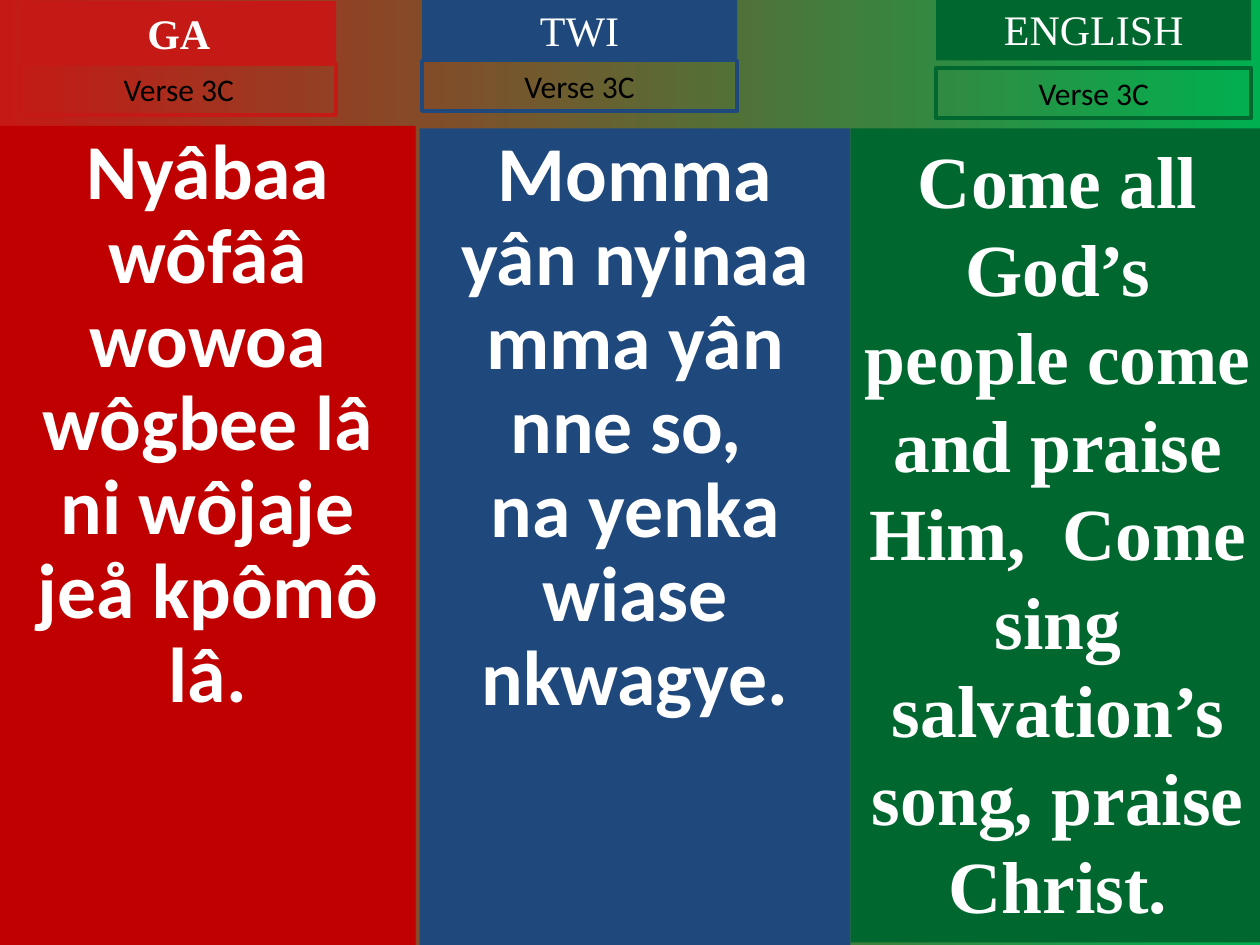
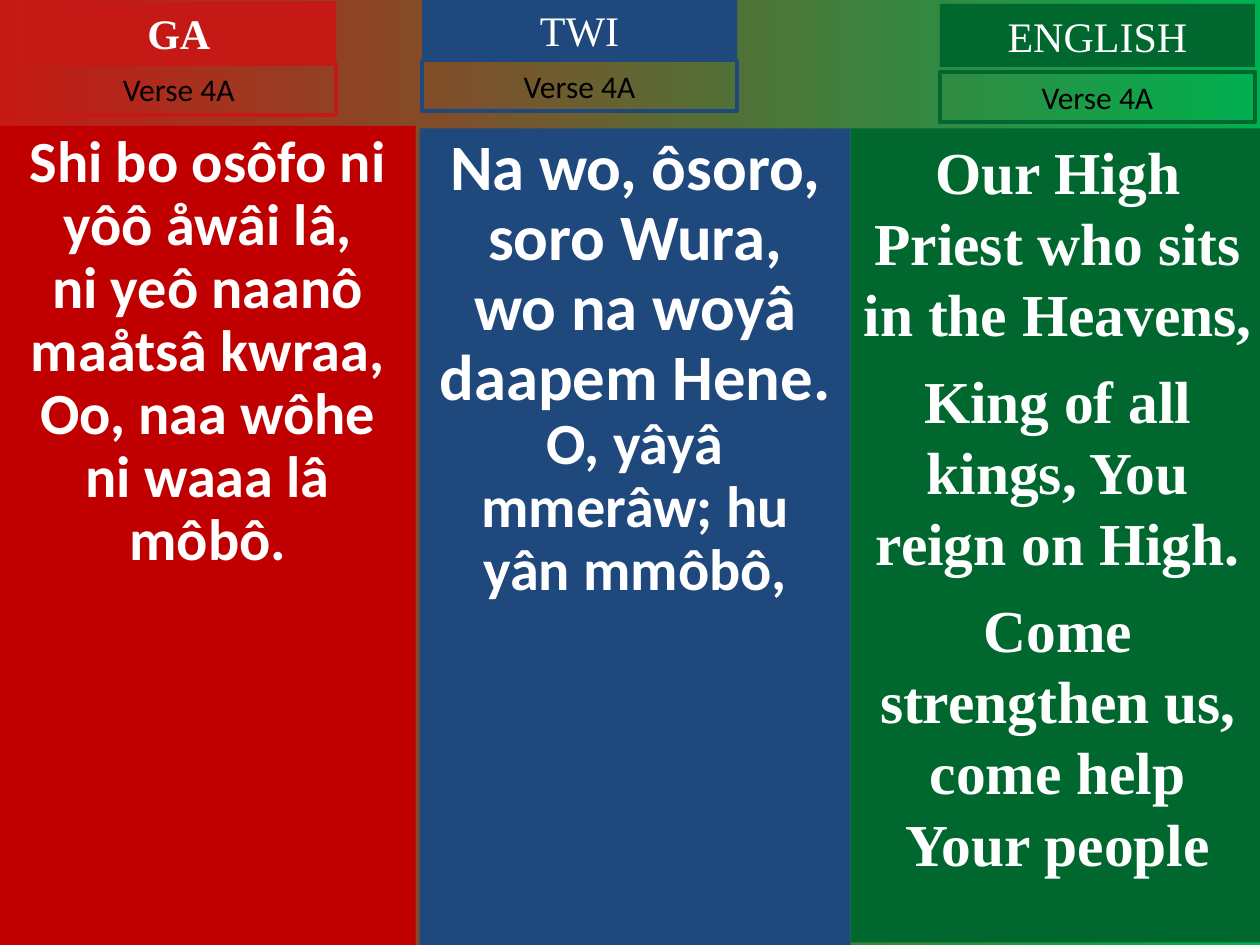
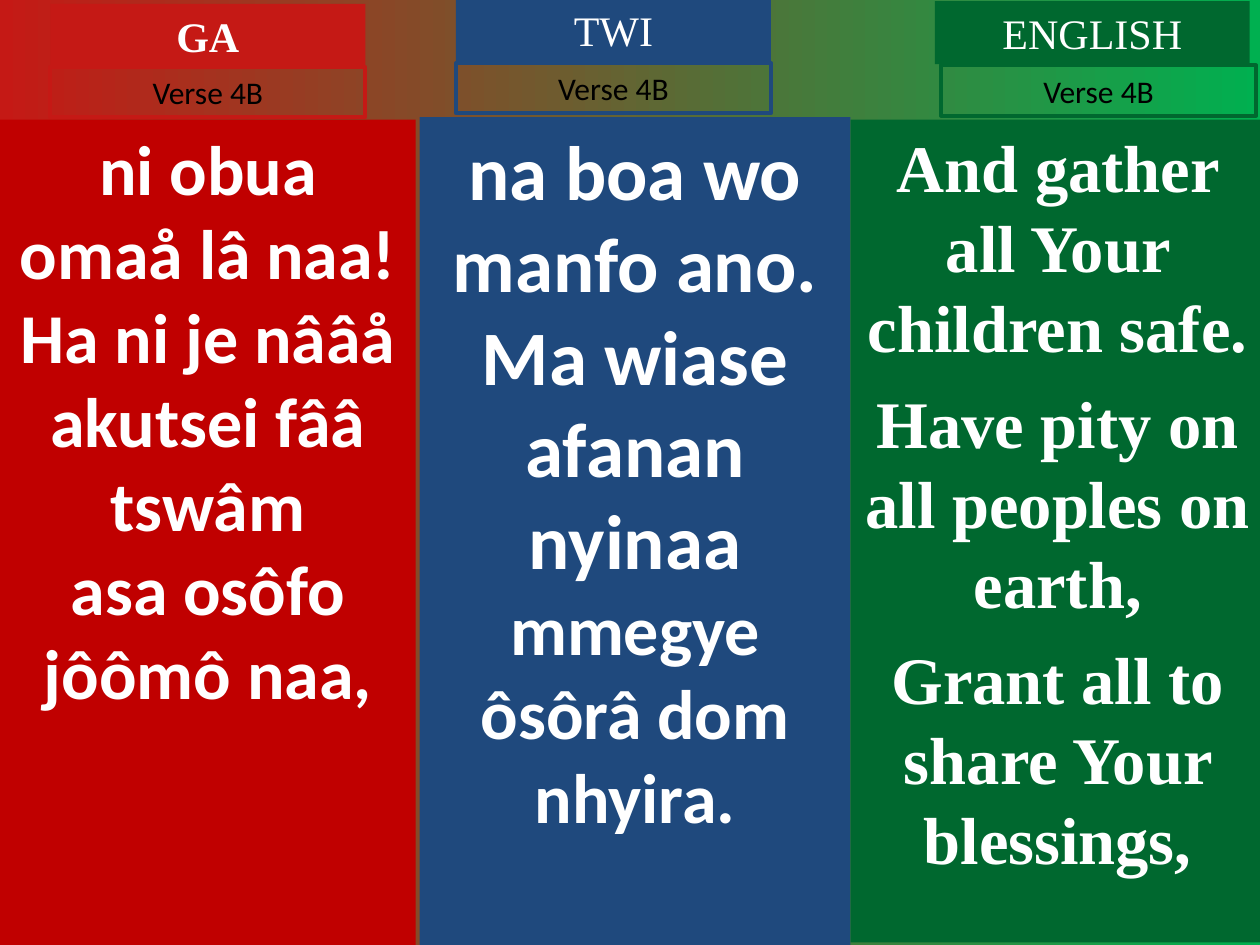
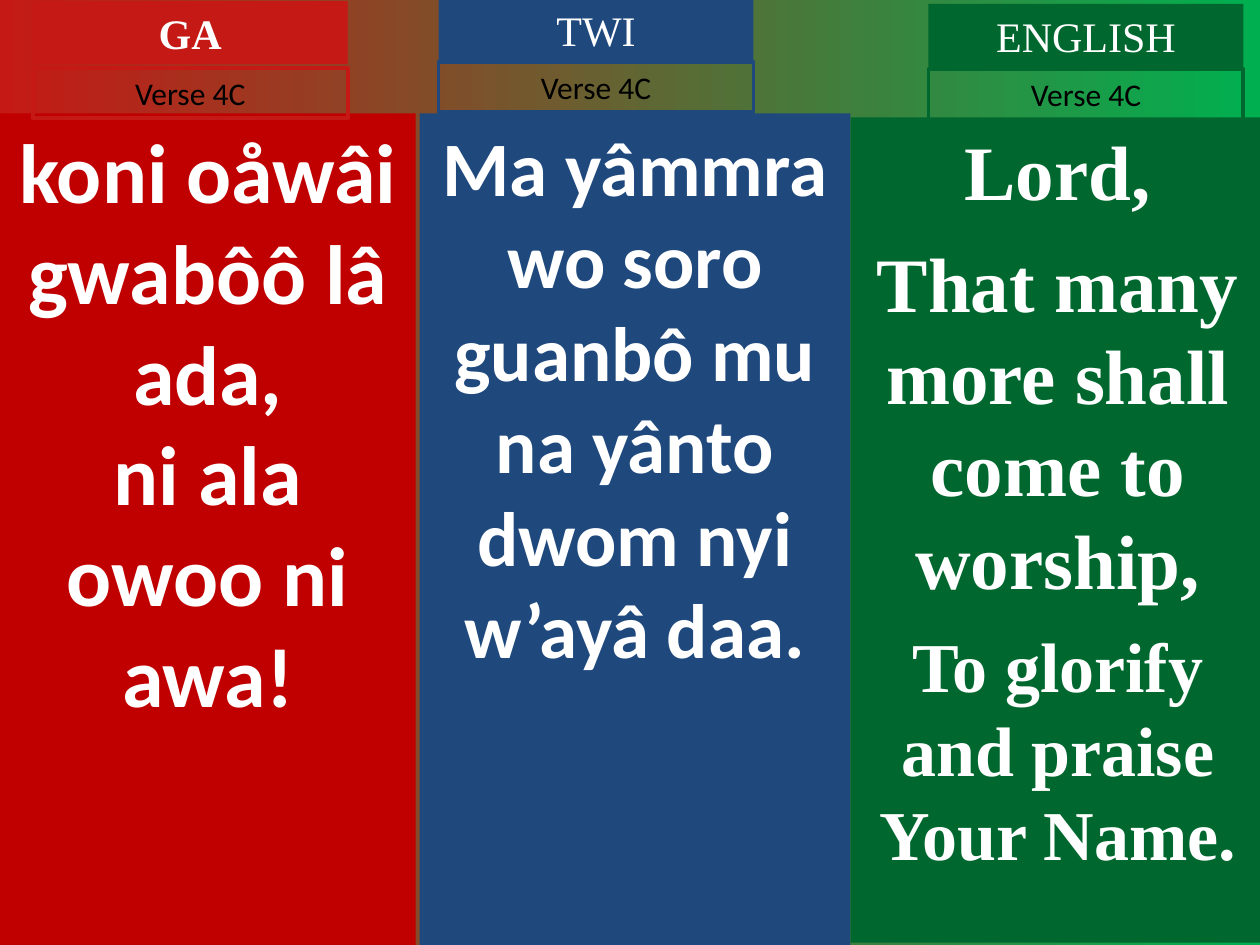
from dataclasses import dataclass

from pptx import Presentation
from pptx.dml.color import RGBColor
from pptx.enum import shapes, text
from pptx.util import Pt


@dataclass(frozen=True)
class Theme:
    sunset: str = "C51915"
    meadow: str = "00B050"
    white: str = "FFFFFF"
    black: str = "000000"
    sans: str = "Calibri"
    serif: str = "Times New Roman"
    language_size: float = 24
    verse_size: float = 18
    border: float = 2.25


THEME = Theme()
PAGE = (720, 540)
LANGUAGE_BOX = (180, 36)
VERSE_BOX = (180, 28.8)

LANGUAGES = [
    dict(name="GA", left=0, width=237.6, bottom=540, panel="C00000", tag=THEME.sunset,
         font=THEME.sans, bold=True, gap=0),
    dict(name="TWI", left=239.8, width=246.2, bottom=540, panel="1F497D", tag="1F497D",
         font=THEME.sans, bold=False, gap=0),
    dict(name="ENGLISH", left=486, width=236.9, bottom=538.6, panel="00682F", tag="00682F",
         font=THEME.serif, bold=False, gap=0.25),
]

VERSES = [
    dict(
        label="Verse 3C", spacing=0.9, panel_tops=(72, 73.4, 73.4),
        language_at=[(12.2, 0.7), (241.2, -0.7), (535, -1.4)],
        verse_at=[(12.2, 36.7), (241.2, 34.6), (535, 38.9)],
        lyrics=[
            [("Nyâbaa wôfââ wowoa wôgbee lâ", 44.4), ("ni wôjaje jeå kpômô lâ.", 44.4)],
            [("Momma yân nyinaa mma yân nne so, ", 44.4), ("na yenka wiase nkwagye.", 44.4)],
            [("Come all God’s people come and praise Him,  Come sing salvation’s song, "
              "praise Christ.", 42)],
        ],
    ),
    dict(
        label="Verse 4A", spacing=0.9, panel_tops=(72, 73.4, 73.4),
        language_at=[(12.2, 0.7), (241.2, -0.7), (537.1, 2.2)],
        verse_at=[(12.2, 36.7), (241.2, 34.6), (537.1, 41)],
        lyrics=[
            [("Shi bo osôfo ni yôô åwâi lâ,", 33.3), ("ni yeô naanô maåtsâ kwraa,", 33.3),
             ("Oo, naa wôhe ni waaa lâ môbô.", 33.3)],
            [("Na wo, ôsoro, soro Wura,", 37), ("wo na woyâ daapem Hene.", 37),
             ("O, yâyâ mmerâw; hu yân mmôbô,", 33.3)],
            [("Our High Priest who sits in the Heavens,", 34),
             ("King of all kings, You reign on High.", 34),
             ("Come strengthen us, come help Your people", 34)],
        ],
    ),
    dict(
        label="Verse 4B", spacing=1.0, panel_tops=(68.4, 67, 68.4),
        language_at=[(28.8, 2.2), (260.6, -0.7), (534.2, 0.7)],
        verse_at=[(28.8, 38.2), (260.6, 36), (537.8, 37.4)],
        lyrics=[
            [("ni obua omaå lâ naa!", 40), ("Ha ni je nââå akutsei fââ tswâm", 40),
             ("asa osôfo jôômô naa,", 40)],
            [("na boa wo manfo ano.", 44), ("Ma wiase afanan nyinaa", 44),
             ("mmegye ôsôrâ dom nhyira.", 40)],
            [("And gather all Your children safe.", 38),
             ("Have pity on all peoples on earth,", 38),
             ("Grant all to share Your blessings,", 38)],
        ],
    ),
    dict(
        label="Verse 4C", spacing=1.0, panel_tops=(64.8, 64.8, 67),
        language_at=[(18.7, 0.7), (250.6, -0.7), (530.6, 2.2)],
        verse_at=[(18.7, 38.9), (250.6, 35.3), (530.6, 39.6)],
        lyrics=[
            [("koni oåwâi gwabôô lâ ada,", 48), ("ni ala owoo ni awa!", 48)],
            [("Ma yâmmra wo soro guanbô mu", 44), ("na yânto dwom nyi w’ayâ daa.", 44)],
            [("Lord,", 44), ("That many more shall come to worship,", 44),
             ("To glorify and praise Your Name.", 40)],
        ],
    ),
]


def rgb(value):
    return RGBColor.from_string(value)


def paint_background(slide):
    fill = slide.background.fill
    fill.gradient()
    fill.gradient_angle = 0
    for stop, colour in zip(fill.gradient_stops, (THEME.sunset, THEME.meadow)):
        stop.color.rgb = rgb(colour)


def add_box(slide, at, size, lines, font, colour, fill=None, border=None,
            bold=False, gap=0, spacing=1.0, grow=False):
    box = slide.shapes.add_shape(shapes.MSO_SHAPE.RECTANGLE, *map(Pt, at + size))
    box.shadow.inherit = False
    if fill:
        box.fill.solid()
        box.fill.fore_color.rgb = rgb(fill)
    else:
        box.fill.background()
    if border:
        box.line.color.rgb = rgb(border)
        box.line.width = Pt(THEME.border)
    else:
        box.line.fill.background()

    frame = box.text_frame
    frame.word_wrap = True
    frame.vertical_anchor = text.MSO_ANCHOR.TOP
    if grow:
        frame.auto_size = text.MSO_AUTO_SIZE.SHAPE_TO_FIT_TEXT
    for index, (words, points) in enumerate(lines):
        paragraph = frame.add_paragraph() if index else frame.paragraphs[0]
        paragraph.text = words
        paragraph.alignment = text.PP_ALIGN.CENTER
        if spacing != 1:
            paragraph.line_spacing = spacing
        if index and gap:
            paragraph.space_before = Pt(gap * points)
        paragraph.font.name = font
        paragraph.font.size = Pt(points)
        paragraph.font.bold = bold
        paragraph.font.color.rgb = rgb(colour)


def add_verse(slide, verse):
    paint_background(slide)
    columns = zip(LANGUAGES, verse["panel_tops"], verse["lyrics"],
                  verse["language_at"], verse["verse_at"])
    for language, top, lyrics, language_at, verse_at in columns:
        add_box(slide, (language["left"], top), (language["width"], language["bottom"] - top),
                lyrics, language["font"], THEME.white, fill=language["panel"], bold=True,
                gap=language["gap"], spacing=1.0 if language["gap"] else verse["spacing"])
        add_box(slide, language_at, LANGUAGE_BOX, [(language["name"], THEME.language_size)],
                THEME.serif, THEME.white, fill=language["tag"], bold=language["bold"], grow=True)
        add_box(slide, verse_at, VERSE_BOX, [(verse["label"], THEME.verse_size)],
                THEME.sans, THEME.black, border=language["tag"], grow=True)


def main():
    deck = Presentation()
    deck.slide_width, deck.slide_height = map(Pt, PAGE)
    for verse in VERSES:
        add_verse(deck.slides.add_slide(deck.slide_layouts[6]), verse)
    deck.save("out.pptx")


if __name__ == "__main__":
    main()
